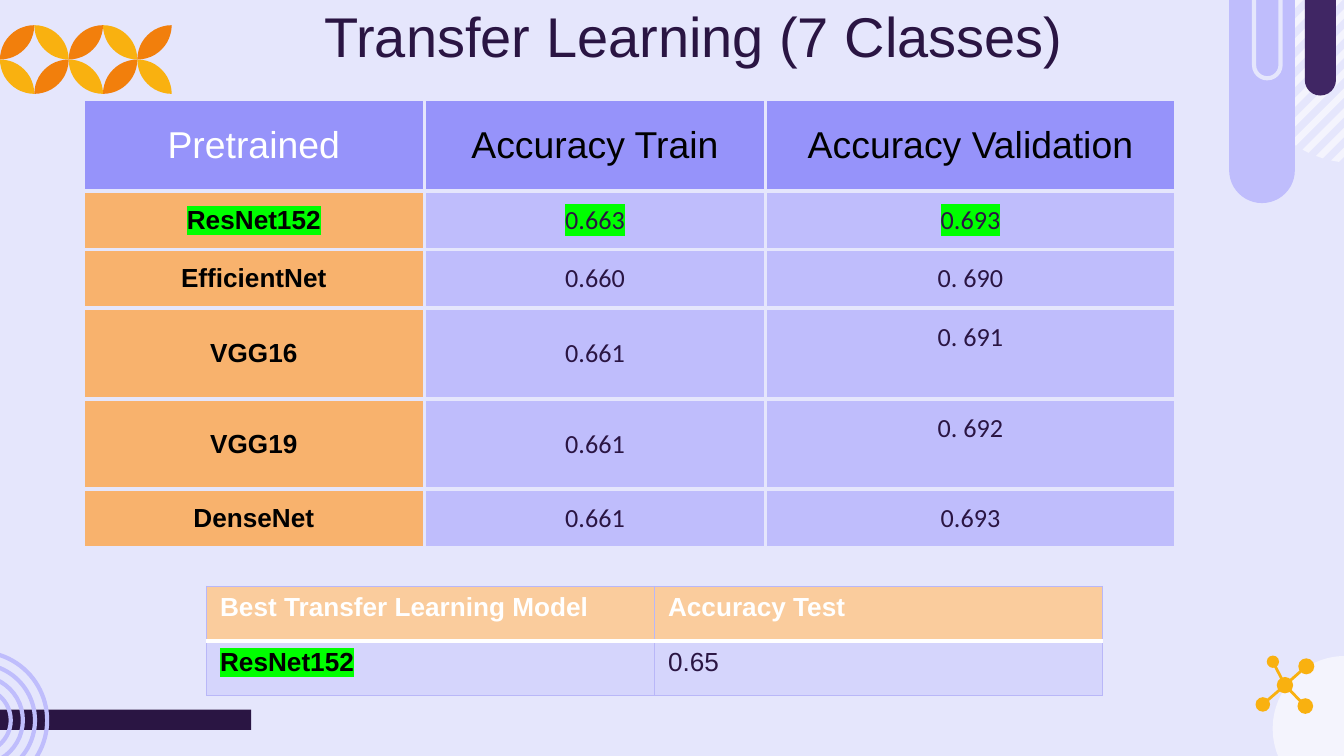
from dataclasses import dataclass
from math import cos, pi, sin, sqrt

from lxml.etree import SubElement
from pptx import Presentation
from pptx.dml.color import RGBColor
from pptx.enum.shapes import MSO_CONNECTOR, MSO_SHAPE
from pptx.enum.text import MSO_ANCHOR, PP_ALIGN
from pptx.oxml import parse_xml
from pptx.oxml.ns import nsdecls, qn
from pptx.util import Pt

PAPER, NIGHT, PLUM, LILAC = "E5E6FC", "2A1543", "402664", "BFBDFC"
PALE, VIOLET, PEACH, APRICOT = "F4F4FD", "9693FA", "F8B26D", "FACC9D"
ORANGE, YELLOW, GREEN, EDGE = "F27F0C", "F9B110", "00FF00", "B9B7F8"
WHITE, BLACK = "FFFFFF", "000000"


@dataclass
class Cell:
    text: str
    fill: str
    ink: str = BLACK
    size: float = 14
    font: str = "Arial"
    bold: bool = False
    marked: bool = False
    opacity: int = 100
    align: PP_ALIGN = PP_ALIGN.CENTER
    anchor: MSO_ANCHOR = MSO_ANCHOR.MIDDLE


@dataclass
class Pill:
    left: float
    width: float
    height: float
    fill: str | None = None
    line: str | None = None


@dataclass
class Atom:
    x: float
    y: float
    radius: float


def color(hex_value: str) -> RGBColor:
    return RGBColor.from_string(hex_value)


def paint(shape, fill: str | None, line: str | None = None) -> None:
    shape.shadow.inherit = False
    if fill:
        shape.fill.solid()
        shape.fill.fore_color.rgb = color(fill)
    else:
        shape.fill.background()
    if line:
        shape.line.color.rgb = color(line)
        shape.line.width = Pt(2.25)
    else:
        shape.line.fill.background()


def add_circle(slide, x: float, y: float, radius: float,
               fill: str | None = None, line: str | None = None) -> None:
    circle = slide.shapes.add_shape(
        MSO_SHAPE.OVAL, Pt(x - radius), Pt(y - radius), Pt(2 * radius), Pt(2 * radius))
    paint(circle, fill, line)


def add_outline(slide, points: list[tuple[float, float]], fill: str) -> None:
    start, *rest = [(Pt(x), Pt(y)) for x, y in points]
    builder = slide.shapes.build_freeform(*start, scale=1.0)
    builder.add_line_segments(rest, close=True)
    paint(builder.convert_to_shape(), fill)


def add_stripe(slide, x: float, y: float, radius: float, near: float, far: float) -> None:
    """Draw the part of a disc where x + y lies between near and far."""
    corners = []
    for total, sides in ((near, (1, -1)), (far, (-1, 1))):
        offset = (total - x - y) / 2
        half = sqrt(radius ** 2 / 2 - offset ** 2)
        corners += [(x + offset + side * half, y + offset - side * half) for side in sides]
    add_outline(slide, corners, PALE)


def add_leaf(slide, left: float, top: float, size: float, mirrored: bool, fill: str) -> None:
    """Draw the overlap of two quarter discs centred on opposite corners."""
    steps = 12
    angles = [pi / 2 * i / steps for i in range(steps)]
    unit = [(1 - sin(a), 1 - cos(a)) for a in angles] + [(sin(a), cos(a)) for a in angles]
    add_outline(slide, [(left + size * (1 - u if mirrored else u), top + size * v)
                        for u, v in unit], fill)


def add_pill(slide, pill: Pill) -> None:
    shape = slide.shapes.add_shape(MSO_SHAPE.ROUND_2_SAME_RECTANGLE, Pt(pill.left), Pt(-2),
                                   Pt(pill.width), Pt(pill.height))
    shape.adjustments[0], shape.adjustments[1] = 0, 0.5
    paint(shape, pill.fill, pill.line)


def add_bond(slide, start: Atom, end: Atom) -> None:
    bond = slide.shapes.add_connector(
        MSO_CONNECTOR.STRAIGHT, Pt(start.x), Pt(start.y), Pt(end.x), Pt(end.y))
    bond.line.color.rgb = color(YELLOW)
    bond.line.width = Pt(1.5)
    SubElement(bond._element.spPr, qn("a:effectLst"))


def add_run(paragraph, text: str, size: float, font: str, ink: str, bold: bool = False):
    run = paragraph.add_run()
    run.text = text
    run.font.size, run.font.name, run.font.bold = Pt(size), font, bold
    run.font.color.rgb = color(ink)
    return run


def set_border(target, sides: dict[str, tuple[str, float]]) -> None:
    for index, (side, (ink, width)) in enumerate(sides.items()):
        target._tc.tcPr.insert(index, parse_xml(
            f'<a:ln{side} {nsdecls("a")} w="{Pt(width)}"><a:solidFill>'
            f'<a:srgbClr val="{ink}"/></a:solidFill></a:ln{side}>'))


def fill_cell(target, cell: Cell, padding: float) -> None:
    target.margin_left = target.margin_right = Pt(7.2)
    target.margin_top = target.margin_bottom = Pt(padding)
    target.vertical_anchor = cell.anchor
    target.fill.solid()
    target.fill.fore_color.rgb = color(cell.fill)
    if cell.opacity < 100:
        tint = target._tc.tcPr.find(".//" + qn("a:srgbClr"))
        SubElement(tint, qn("a:alpha"), val=str(cell.opacity * 1000))
    paragraph = target.text_frame.paragraphs[0]
    paragraph.alignment = cell.align
    run = add_run(paragraph, cell.text, cell.size, cell.font, cell.ink, cell.bold)
    if cell.marked:
        run._r.rPr.find(qn("a:solidFill")).addnext(parse_xml(
            f'<a:highlight {nsdecls("a")}><a:srgbClr val="{GREEN}"/></a:highlight>'))


def add_grid(slide, left: float, top: float, widths: list[float], heights: list[float],
             rows: list[list[Cell]], padding: float, border: tuple[str, float],
             header_rule: tuple[str, float]) -> None:
    table = slide.shapes.add_table(len(rows), len(widths), Pt(left), Pt(top),
                                   Pt(sum(widths)), Pt(sum(heights))).table
    table.first_row = table.horz_banding = False
    for column, width in zip(table.columns, widths):
        column.width = Pt(width)
    for r, (row, height) in enumerate(zip(rows, heights)):
        table.rows[r].height = Pt(height)
        for c, cell in enumerate(row):
            fill_cell(table.cell(r, c), cell, padding)
            sides = dict.fromkeys("LRTB", border)
            if r < 2:
                sides["B" if r == 0 else "T"] = header_rule
            set_border(table.cell(r, c), sides)


def add_decoration(slide) -> None:
    bar = slide.shapes.add_shape(MSO_SHAPE.RECTANGLE, Pt(-18), Pt(380.2), Pt(152.6), Pt(10.8))
    paint(bar, NIGHT)
    add_circle(slide, 720.7, 390.3, 38.9, PALE)
    for ring in range(4):
        add_circle(slide, -11.5, 385.9, 36.75 - 6.5 * ring, line=LILAC)
    for stripe in range(12):
        near = 682.6 + 10.6 * stripe
        add_stripe(slide, 725, 31.7, 55.6, near, near + 4.9)
    for pill in (Pill(699, 16.7, 53.2, PLUM), Pill(658.5, 35.2, 110.8, LILAC),
                 Pill(671.8, 14.2, 44, line=PAPER)):
        add_pill(slide, pill)
    leaf = 18.4
    for column in range(5):
        for row in range(2):
            mirrored = (column + row) % 2 == 1
            add_leaf(slide, column * leaf, 13.5 + row * leaf, leaf, mirrored,
                     YELLOW if mirrored else ORANGE)
    hub = Atom(688.4, 367.1, 4.4)
    outer = [Atom(681.9, 354.5, 3.3), Atom(699.8, 357, 4.3),
             Atom(676.5, 377.4, 3.9), Atom(699.3, 378.3, 4.2)]
    for atom in outer:
        add_bond(slide, hub, atom)
    for atom in [hub, *outer]:
        add_circle(slide, atom.x, atom.y, atom.radius, YELLOW)


def add_title(slide) -> None:
    frame = slide.shapes.add_textbox(Pt(67.7), Pt(1), Pt(607.7), Pt(36)).text_frame
    frame.word_wrap = True
    frame.vertical_anchor = MSO_ANCHOR.MIDDLE
    frame.margin_top = frame.margin_bottom = 0
    frame.paragraphs[0].alignment = PP_ALIGN.CENTER
    add_run(frame.paragraphs[0], "Transfer Learning (7 Classes)", 30, "Arial", NIGHT)


def main() -> None:
    deck = Presentation()
    deck.slide_width, deck.slide_height = Pt(720), Pt(405)
    slide = deck.slides.add_slide(deck.slide_layouts[6])
    slide.background.fill.solid()
    slide.background.fill.fore_color.rgb = color(PAPER)
    add_decoration(slide)
    add_title(slide)

    results = [("ResNet152", "0.663", "0.693"), ("EfficientNet", "0.660", "0. 690"),
               ("VGG16", "0.661", "0. 691"), ("VGG19", "0.661", "0. 692"),
               ("DenseNet", "0.661", "0.693")]
    rows = [[Cell("Pretrained", VIOLET, WHITE, 20), Cell("Accuracy Train", VIOLET, size=20),
             Cell("Accuracy Validation", VIOLET, size=20)]]
    for model, train, validation in results:
        best = model == "ResNet152"
        raised = MSO_ANCHOR.TOP if model.startswith("VGG") else MSO_ANCHOR.MIDDLE
        rows.append([Cell(model, PEACH, bold=True, marked=best),
                     Cell(train, LILAC, NIGHT, font="Calibri", marked=best),
                     Cell(validation, LILAC, NIGHT, font="Calibri", marked=best, anchor=raised)])
    add_grid(slide, 44.6, 53.2, [182.8, 182.8, 219.6], [49, 31.5, 31.5, 48.5, 48.5, 31.5],
             rows, 7.2, (PAPER, 2.25), (PAPER, 2.25))

    plain = {"align": PP_ALIGN.LEFT, "anchor": MSO_ANCHOR.TOP}
    best_rows = [[Cell(heading, APRICOT, WHITE, bold=True, **plain)
                  for heading in ("Best Transfer Learning Model", "Accuracy Test")],
                 [Cell("ResNet152", LILAC, bold=True, marked=True, opacity=40, **plain),
                  Cell("0.65", LILAC, NIGHT, opacity=40, **plain)]]
    add_grid(slide, 110.7, 314.2, [240, 240], [29.2, 29.2], best_rows, 3.6,
             (EDGE, 0.75), (WHITE, 2))
    deck.save("out.pptx")


if __name__ == "__main__":
    main()
